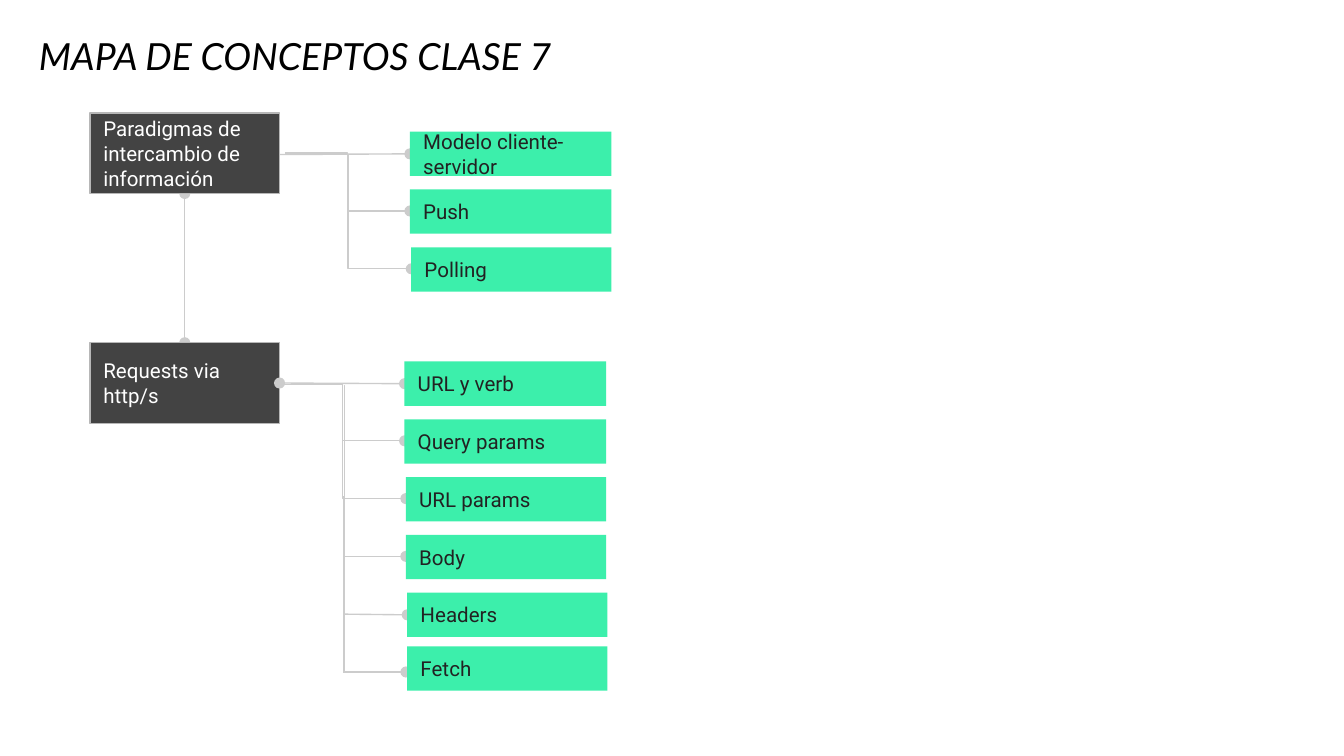
from lxml.etree import SubElement
from pptx import Presentation
from pptx.dml.color import RGBColor
from pptx.enum.shapes import MSO_CONNECTOR as LINK, MSO_SHAPE
from pptx.enum.text import MSO_ANCHOR, MSO_AUTO_SIZE, PP_ALIGN
from pptx.oxml.ns import qn
from pptx.util import Inches, Pt

rgb = RGBColor.from_string
TOP, LEFT, BOTTOM, RIGHT = range(4)

prs = Presentation()
prs.slide_width, prs.slide_height = Inches(10), Inches(10 * 9 / 16)
slide = prs.slides.add_slide(prs.slide_layouts[5])
tree = slide.shapes._spTree


def write(shape, text, font, size, color, anchor):
    frame = shape.text_frame
    frame.word_wrap = True
    frame.auto_size = MSO_AUTO_SIZE.NONE
    frame.vertical_anchor = anchor
    frame.margin_left = frame.margin_right = Inches(0.1)
    frame.margin_top = frame.margin_bottom = Inches(0.1)
    paragraph = frame.paragraphs[0]
    paragraph.alignment = PP_ALIGN.LEFT
    run = paragraph.add_run()
    run.text = text
    run.font.name, run.font.size = font, Pt(size)
    run.font.color.rgb = rgb(color)
    return run


def link(kind, start, end, ends=("tailEnd",)):
    line = slide.shapes.add_connector(kind, *map(Inches, start + end))
    line.line.color.rgb = rgb("CCCCCC")
    line.line.width = Pt(0.75)
    for tag in ends:
        SubElement(line.line._get_or_add_ln(), qn("a:" + tag), type="oval")
    SubElement(line._element.spPr, qn("a:effectLst"))
    tree.insert(2, line._element)
    return line


title = slide.shapes.title
title.left, title.top = Inches(0.19), Inches(0.22)
title.width, title.height = Inches(8.26), Inches(0.46)
heading = write(title, "MAPA DE CONCEPTOS CLASE 7", "Lato", 20, "000000", MSO_ANCHOR.BOTTOM)
heading.font.italic = True

concepts = [
    ("Modelo cliente-servidor", 3.05, 0.98, 1.5),
    ("Push", 3.05, 1.41, 1.5),
    ("Polling", 3.06, 1.84, 1.49),
    ("URL y verb", 3.01, 2.69, 1.5),
    ("Query params", 3.01, 3.12, 1.5),
    ("URL params", 3.02, 3.55, 1.49),
    ("Body", 3.02, 3.98, 1.49),
    ("Headers", 3.03, 4.41, 1.49),
    ("Fetch", 3.03, 4.81, 1.49),
]
topics = [
    ("Requests via http/s", 0.67, 2.55, 1.41),
    ("Paradigmas de intercambio de información", 0.67, 0.84, 1.41),
]
boxes = {}
for text, left, top, width in concepts + topics:
    is_topic = (text, left, top, width) in topics
    height = 0.6 if is_topic else 0.33
    box = slide.shapes.add_shape(MSO_SHAPE.RECTANGLE, *map(Inches, (left, top, width, height)))
    box.shadow.inherit = False
    box.fill.solid()
    box.fill.fore_color.rgb = rgb("434343" if is_topic else "3CEFAB")
    if is_topic:
        box.line.color.rgb = rgb("B7B7B7")
        box.line.width = Pt(0.75)
    else:
        box.line.fill.background()
    write(box, text, "Roboto", 11, "FFFFFF" if is_topic else "222222", MSO_ANCHOR.MIDDLE)
    boxes[text] = box
requests, paradigms = (boxes[topic[0]] for topic in topics)

both_ends = ("headEnd", "tailEnd")
model_link = link(LINK.STRAIGHT, (2.03, 1.15), (3.07, 1.15), both_ends)
model_link.end_connect(boxes["Modelo cliente-servidor"], LEFT)
verb_link = link(LINK.STRAIGHT, (2.09, 2.86), (3.01, 2.86), both_ends)
verb_link.begin_connect(requests, RIGHT)
verb_link.end_connect(boxes["URL y verb"], LEFT)
headers_link = link(LINK.STRAIGHT, (2.56, 4.57), (3.02, 4.57))
headers_link.end_connect(boxes["Headers"], LEFT)
link(LINK.STRAIGHT, (2.56, 3.69), (2.56, 5.01), ())
link(LINK.STRAIGHT, (2.56, 5), (3.02, 5))

for start, end in [
    ((2.12, 1.14), (3.05, 1.57)),
    ((2.12, 1.15), (3.06, 2)),
    ((2.09, 2.86), (3.01, 3.28)),
    ((2.08, 2.86), (3.02, 3.71)),
]:
    link(LINK.ELBOW, start, end)
body_link = link(LINK.ELBOW, (2.56, 2.87), (3.02, 4.14))
guides = body_link._element.spPr.find(qn("a:prstGeom")).find(qn("a:avLst"))
SubElement(guides, qn("a:gd"), name="adj1", fmla="val 600")

tree.insert(2, requests._element)
topic_link = link(LINK.STRAIGHT, (1.37, 1.44), (1.37, 2.57), both_ends)
topic_link.begin_connect(paradigms, BOTTOM)
topic_link.end_connect(requests, TOP)

prs.save("out.pptx")
